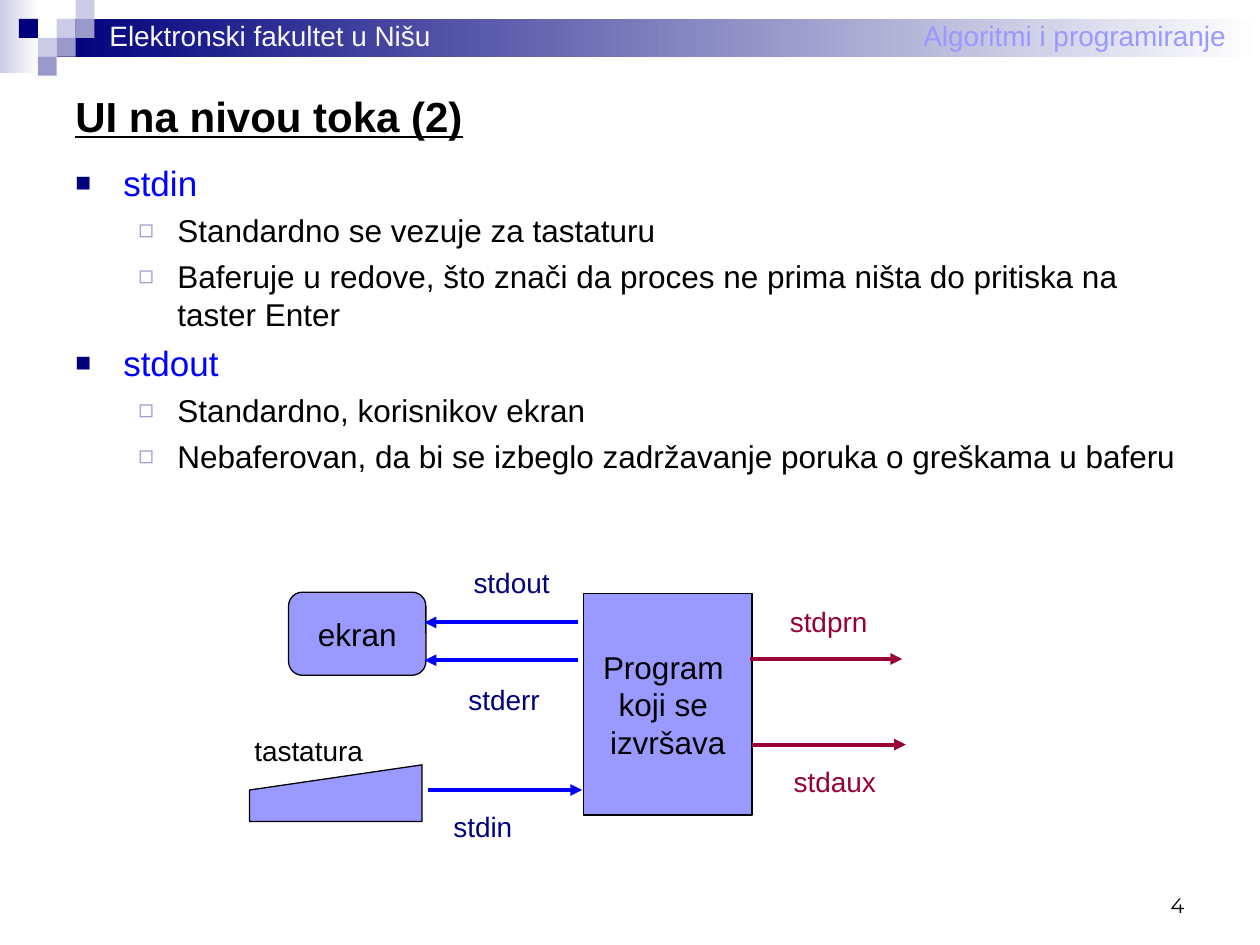
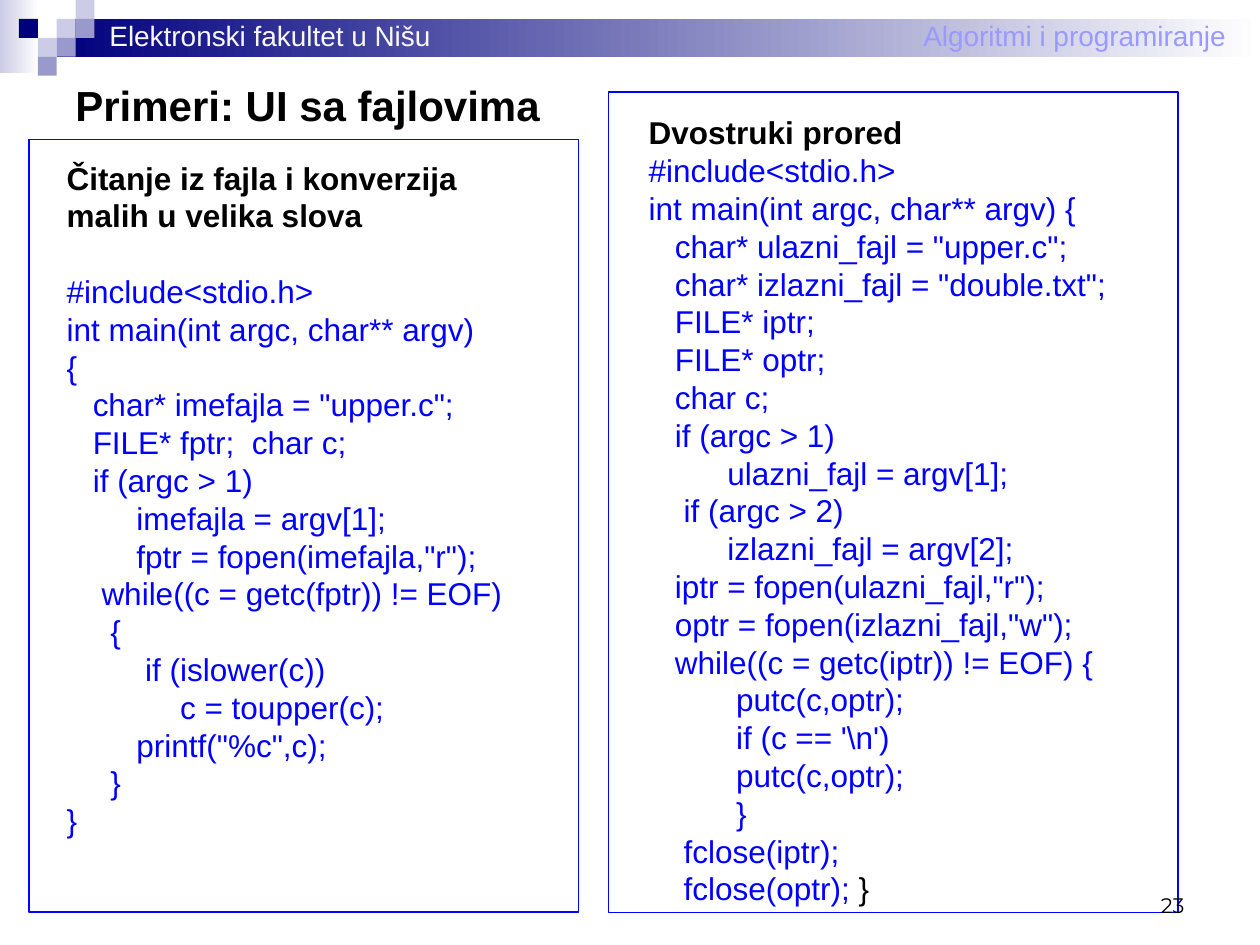
from lxml import etree
from pptx import Presentation
from pptx.dml.color import RGBColor
from pptx.enum import shapes as kinds, text as txt
from pptx.oxml import ns
from pptx.util import Inches, Pt

# Shared look
NAVY = RGBColor(0x00, 0x00, 0x7D)
BLUE = RGBColor(0x00, 0x00, 0xFF)
PALE = RGBColor(0xCC, 0xCC, 0xE6)
MID = RGBColor(0x99, 0x99, 0xCC)
LILAC = RGBColor(0x99, 0x99, 0xFF)
WINE = RGBColor(0x99, 0x00, 0x33)
BLACK = RGBColor(0x00, 0x00, 0x00)
WHITE = RGBColor(0xFF, 0xFF, 0xFF)
SNOW = RGBColor(0xF8, 0xF8, 0xF8)
FONT = "Arial"
LEAD = 1.2
CELL = 0.15

RECT = kinds.MSO_SHAPE.RECTANGLE
ROUND = kinds.MSO_SHAPE.ROUNDED_RECTANGLE
TOP, MIDDLE, BOTTOM = (txt.MSO_ANCHOR.TOP, txt.MSO_ANCHOR.MIDDLE,
                       txt.MSO_ANCHOR.BOTTOM)
CENTER, RIGHT = txt.PP_ALIGN.CENTER, txt.PP_ALIGN.RIGHT

# Column and row of each corner square
SQUARES = [(3, 1, PALE), (4, 0, PALE), (4, 1, MID), (2, 2, PALE),
           (1, 1, NAVY), (3, 2, MID), (2, 3, MID)]

# Level and wording of each point
POINTS = [
    (0, "stdin"),
    (1, "Standardno se vezuje za tastaturu"),
    (1, "Baferuje u redove, što znači da proces ne prima ništa do pritiska "
        "na taster Enter"),
    (0, "stdout"),
    (1, "Standardno, korisnikov ekran"),
    (1, "Nebaferovan, da bi se izbeglo zadržavanje poruka o greškama u "
        "baferu"),
]
# Per level: margin, hang, before, size, colour, bullet, its colour and percent
LEVELS = [
    (0.38, 0.38, 5, 20, BLUE, "■", NAVY, 75),
    (0.81, 0.31, 4.5, 18, BLACK, "◻", MID, 80),
]

UPPER = r'''#include<stdio.h>
int main(int argc, char** argv)
{
   char* imefajla = "upper.c";
   FILE* fptr;  char c;
   if (argc > 1)
        imefajla = argv[1];
        fptr = fopen(imefajla,"r");
    while((c = getc(fptr)) != EOF)
     {
         if (islower(c))
             c = toupper(c);
        printf("%c",c);
     }
}'''

DOUBLE = r'''#include<stdio.h>
int main(int argc, char** argv) {
   char* ulazni_fajl = "upper.c";
   char* izlazni_fajl = "double.txt";
   FILE* iptr;
   FILE* optr;
   char c;
   if (argc > 1)
         ulazni_fajl = argv[1];
    if (argc > 2)
         izlazni_fajl = argv[2];
   iptr = fopen(ulazni_fajl,"r");
   optr = fopen(izlazni_fajl,"w");
   while((c = getc(iptr)) != EOF) {
          putc(c,optr);
          if (c == '\n')
          putc(c,optr);
          }
    fclose(iptr);
    fclose(optr); '''


def box(at):
    return [Inches(n) for n in at]


def style(par, size, color, bold=False, name=FONT):
    font = par.font
    font.name, font.size, font.bold = name, Pt(size), bold
    font.color.rgb = color


def lines(frame, texts, size, color, align=None):
    """Add one paragraph per text, using the empty first one."""
    pars = []
    for line in texts:
        fresh = not frame.paragraphs[0].runs
        par = frame.paragraphs[0] if fresh else frame.add_paragraph()
        par.add_run().text = line
        par.alignment = align
        par.line_spacing = Pt(size * LEAD)
        style(par, size, color)
        pars.append(par)
    return pars


def area(slide, at, anchor=TOP):
    frame = slide.shapes.add_textbox(*box(at)).text_frame
    frame.word_wrap = True
    frame.vertical_anchor = anchor
    return frame


def label(slide, at, text, color):
    """Add a one-line text whose box grows to fit it."""
    frame = area(slide, at)
    frame.word_wrap = False
    frame.auto_size = txt.MSO_AUTO_SIZE.SHAPE_TO_FIT_TEXT
    par = frame.paragraphs[0]
    par.add_run().text = text
    style(par, 16, color)


def paint(shape, fill=None, line=None):
    shape.shadow.inherit = False
    if fill is None:
        shape.fill.background()
    else:
        shape.fill.solid()
        shape.fill.fore_color.rgb = fill
    if line is None:
        shape.line.fill.background()
    else:
        shape.line.color.rgb = line
        shape.line.width = Pt(0.75)


def block(slide, at, fill=None, line=None, kind=RECT):
    shape = slide.shapes.add_shape(kind, *box(at))
    paint(shape, fill, line)
    return shape


def fade(slide, at, start):
    shape = block(slide, at)
    shape.fill.gradient()
    shape.fill.gradient_angle = 0
    for stop, color in zip(shape.fill.gradient_stops, (start, WHITE)):
        stop.color.rgb = color


def node(slide, at, texts, kind=RECT):
    shape = block(slide, at, LILAC, BLACK, kind)
    frame = shape.text_frame
    frame.word_wrap = False
    frame.vertical_anchor = MIDDLE
    lines(frame, texts, 18, BLACK, CENTER)


def arrow(slide, left, right, y, color):
    """Draw a level arrow from the first x to the second."""
    link = slide.shapes.add_connector(
        kinds.MSO_CONNECTOR.STRAIGHT, *box((left, y, right, y)))
    link.line.color.rgb = color
    link.line.width = Pt(2.25)
    etree.SubElement(link.line._get_or_add_ln(), ns.qn("a:tailEnd"),
                     type="triangle")
    etree.SubElement(link._element.spPr, ns.qn("a:effectLst"))


def bullet(par, margin, hang, mark, color, percent):
    props = par._p.get_or_add_pPr()
    props.set("marL", str(Inches(margin)))
    props.set("indent", str(-Inches(hang)))
    tint = etree.SubElement(props, ns.qn("a:buClr"))
    etree.SubElement(tint, ns.qn("a:srgbClr"), val=str(color))
    etree.SubElement(props, ns.qn("a:buSzPct"), val=str(percent * 1000))
    etree.SubElement(props, ns.qn("a:buFont"), typeface=FONT)
    etree.SubElement(props, ns.qn("a:buChar"), char=mark)


def points(slide, at):
    frame = area(slide, at)
    for i, (level, text) in enumerate(POINTS):
        margin, hang, before, size, color, mark, tint, pct = LEVELS[level]
        par = frame.add_paragraph() if i else frame.paragraphs[0]
        par.level = level
        par.add_run().text = text
        bullet(par, margin, hang, mark, tint, pct)
        par.line_spacing = Pt(size * LEAD)
        if i:
            par.space_before = Pt(before)
        style(par, size, color)


def code(slide, at, head, source, gap=0):
    frame = area(slide, at, MIDDLE)
    frame.margin_bottom = 0
    top = lines(frame, [head], 18, BLACK)[0]
    top.font.bold = True
    top.space_after = Pt(gap)
    return lines(frame, source.split("\n"), 18, BLUE)[-1]


def title(slide, at, text, under=False):
    par = area(slide, at, MIDDLE).paragraphs[0]
    par.add_run().text = text
    style(par, 24, BLACK, bold=True)
    par.font.underline = under


def page(deck):
    """Add a slide with the band and the corner squares."""
    slide = deck.slides.add_slide(deck.slide_layouts[6])
    fade(slide, (0, 0, 0.31, 0.58), PALE)
    fade(slide, (0.45, 0.15, 9.55, 0.3), NAVY)
    for col, row, color in SQUARES:
        block(slide, (col * CELL, row * CELL, CELL, CELL), color)
    label(slide, (7.23, 0.1, 2.6, 0.37), "Algoritmi i programiranje", LILAC)
    label(slide, (0.77, 0.1, 2.75, 0.37), "Elektronski fakultet u Nišu", SNOW)
    return slide


def number(slide, text):
    par = area(slide, (7.17, 6.83, 2.33, 0.5), BOTTOM).paragraphs[0]
    par.add_run().text = text
    par.alignment = RIGHT
    style(par, 12, BLACK, name="Montserrat")


def streams(deck):
    slide = page(deck)
    points(slide, (0.5, 1.23, 9.15, 2.96))
    title(slide, (0.5, 0.56, 9, 0.72), "UI na nivou toka (2)", under=True)

    # Devices around the program
    node(slide, (2.29, 4.7, 1.09, 0.66), ["ekran"], ROUND)
    node(slide, (4.63, 4.71, 1.34, 1.76), ["Program ", "koji se ", "izvršava"])
    keys = slide.shapes.build_freeform(Inches(1.98), Inches(6.27))
    keys.add_line_segments(
        [box(p) for p in ((1.98, 6.52), (3.35, 6.52), (3.35, 6.07))])
    paint(keys.convert_to_shape(), LILAC, BLACK)

    # Streams
    for left, right, y, color in [
            (4.59, 3.37, 4.94, BLUE), (4.59, 3.37, 5.24, BLUE),
            (5.95, 7.16, 5.23, WINE), (5.97, 7.19, 5.91, WINE),
            (3.4, 4.62, 6.27, BLUE)]:
        arrow(slide, left, right, y, color)
    for x, y, width, text, color in [
            (1.92, 5.77, 1.06, "tastatura", BLACK),
            (3.5, 6.38, 0.67, "stdin", NAVY),
            (3.62, 5.37, 0.77, "stderr", NAVY),
            (3.66, 4.44, 0.81, "stdout", NAVY),
            (6.17, 4.75, 0.82, "stdprn", WINE),
            (6.2, 6.02, 0.85, "stdaux", WINE)]:
        label(slide, (x, y, width, 0.37), text, color)
    number(slide, "4")


def files(deck):
    slide = page(deck)
    code(slide, (0.43, 1.21, 3.91, 5.45),
         "Čitanje iz fajla i konverzija malih u velika slova", UPPER,
         gap=18 * LEAD)
    last = code(slide, (5.05, 0.85, 4.71, 6.35), "Dvostruki prored", DOUBLE)
    brace = last.add_run()
    brace.text = "}"
    brace.font.color.rgb = BLACK
    title(slide, (0.5, 0.5, 9, 0.66), "Primeri: UI sa fajlovima")

    # Frames around the listings
    block(slide, (0.23, 1.11, 4.36, 6.13), line=BLUE)
    block(slide, (4.83, 0.73, 4.52, 6.51), line=BLUE)
    number(slide, "23")


def main():
    deck = Presentation()
    deck.slide_width, deck.slide_height = Inches(10), Inches(7.5)
    streams(deck)
    files(deck)
    deck.save("out.pptx")


if __name__ == "__main__":
    main()
